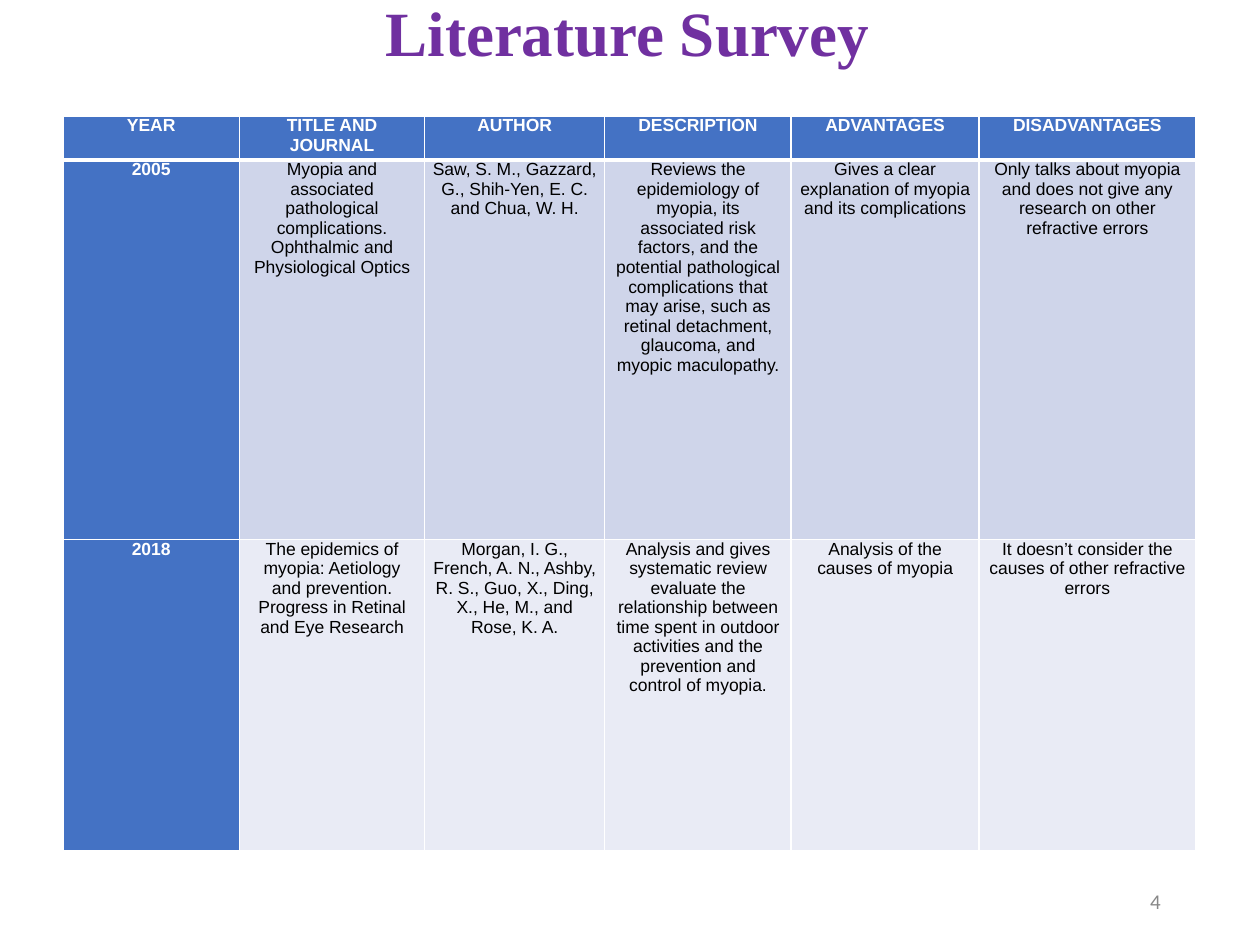
from dataclasses import dataclass

from lxml import etree
from pptx import Presentation
from pptx.dml.color import RGBColor
from pptx.enum.text import MSO_ANCHOR, PP_ALIGN
from pptx.oxml.ns import qn
from pptx.slide import Slide
from pptx.table import _Cell
from pptx.text.text import TextFrame
from pptx.util import Inches, Pt

CENTER, RIGHT = PP_ALIGN.CENTER, PP_ALIGN.RIGHT
TOP, MIDDLE = MSO_ANCHOR.TOP, MSO_ANCHOR.MIDDLE


@dataclass(frozen=True)
class TextStyle:
    font: str
    size: float
    color: str
    bold: bool = False
    alignment: PP_ALIGN = CENTER
    line_spacing: float = 1.0


@dataclass(frozen=True)
class Theme:
    title: TextStyle = TextStyle("Times New Roman", 36, "7030A0", True, line_spacing=0.9)
    page_number: TextStyle = TextStyle("Calibri", 12, "888888", alignment=RIGHT)
    heading: TextStyle = TextStyle("Arial", 10, "FFFFFF", True)
    body: TextStyle = TextStyle("Arial", 10, "000000")
    heading_fill: str = "4472C4"
    band_fills: tuple[str, str] = ("CFD5EA", "E9EBF5")
    border: str = "FFFFFF"
    border_width: float = 1
    heading_rule_width: float = 3


@dataclass(frozen=True)
class Label:
    text: str
    left: float
    top: float
    width: float
    height: float
    style: TextStyle


@dataclass(frozen=True)
class Study:
    year: str
    title: str
    author: str
    description: str
    advantages: str
    disadvantages: str

    def values(self) -> tuple[str, ...]:
        return (self.year, self.title, self.author, self.description,
                self.advantages, self.disadvantages)


THEME = Theme()

LABELS = (
    Label("Literature Survey", 0.67, 0, 8.62, 0.58, THEME.title),
    Label("4", 7.06, 6.95, 2.25, 0.4, THEME.page_number),
)

HEADINGS = ("YEAR", "TITLE AND JOURNAL", "AUTHOR", "DESCRIPTION",
            "ADVANTAGES", "DISADVANTAGES")
STUDIES = (
    Study(
        "2005",
        "Myopia and associated pathological complications. "
        "Ophthalmic and Physiological Optics",
        "Saw, S. M., Gazzard, G., Shih-Yen, E. C. and Chua, W. H.",
        "Reviews the epidemiology of myopia, its associated risk factors, and the "
        "potential pathological complications that may arise, such as retinal "
        "detachment, glaucoma, and myopic maculopathy.",
        "Gives a clear explanation of myopia and its complications",
        "Only talks about myopia and does not give any research on other "
        "refractive errors",
    ),
    Study(
        "2018",
        "The epidemics of myopia: Aetiology and prevention. "
        "Progress in Retinal and Eye Research",
        "Morgan, I. G., French, A. N., Ashby, R. S., Guo, X., Ding, X., He, M., "
        "and Rose, K. A.",
        "Analysis and gives systematic review evaluate the relationship between "
        "time spent in outdoor activities and the prevention and control of myopia.",
        "Analysis of the causes of myopia",
        "It doesn’t consider the causes of other refractive errors",
    ),
)
COLUMN_WIDTHS = (1.4, 1.47, 1.43, 1.48, 1.49, 1.72)
ROW_HEIGHTS = (0.35, 3.01, 2.47)
TABLE_LEFT, TABLE_TOP = 0.5, 0.92


def write_text(text_frame: TextFrame, text: str, style: TextStyle) -> None:
    text_frame.text = text
    text_frame.word_wrap = True
    paragraph = text_frame.paragraphs[0]
    paragraph.alignment = style.alignment
    paragraph.line_spacing = style.line_spacing
    for run in paragraph.runs:
        run.font.name = style.font
        run.font.size = Pt(style.size)
        run.font.bold = style.bold
        run.font.color.rgb = RGBColor.from_string(style.color)


def add_label(slide: Slide, label: Label) -> None:
    shape = slide.shapes.add_textbox(Inches(label.left), Inches(label.top),
                                     Inches(label.width), Inches(label.height))
    shape.text_frame.vertical_anchor = MIDDLE
    write_text(shape.text_frame, label.text, label.style)


def set_borders(cell: _Cell, top: float, bottom: float) -> None:
    properties = cell._tc.get_or_add_tcPr()
    side = THEME.border_width
    for tag, width in (("lnL", side), ("lnR", side), ("lnT", top), ("lnB", bottom)):
        line = etree.SubElement(properties, qn(f"a:{tag}"), w=str(Pt(width)))
        fill = etree.SubElement(line, qn("a:solidFill"))
        etree.SubElement(fill, qn("a:srgbClr"), val=THEME.border)


def format_cell(cell: _Cell, text: str, row: int, column: int) -> None:
    is_heading = row == 0 or column == 0
    write_text(cell.text_frame, text, THEME.heading if is_heading else THEME.body)
    cell.vertical_anchor = TOP
    cell.margin_left = cell.margin_right = Inches(0.06)
    cell.margin_top = cell.margin_bottom = Inches(0)

    # Borders come before the fill in the cell properties
    thin, thick = THEME.border_width, THEME.heading_rule_width
    set_borders(cell, thick if row == 1 else thin, thick if row == 0 else thin)
    color = THEME.heading_fill if is_heading else THEME.band_fills[(row - 1) % 2]
    cell.fill.solid()
    cell.fill.fore_color.rgb = RGBColor.from_string(color)


def add_survey_table(slide: Slide) -> None:
    rows = (HEADINGS, *(study.values() for study in STUDIES))
    table = slide.shapes.add_table(
        len(rows), len(HEADINGS), Inches(TABLE_LEFT), Inches(TABLE_TOP),
        Inches(sum(COLUMN_WIDTHS)), Inches(sum(ROW_HEIGHTS))).table
    table.first_col = True
    for column, width in zip(table.columns, COLUMN_WIDTHS):
        column.width = Inches(width)
    for row, height in zip(table.rows, ROW_HEIGHTS):
        row.height = Inches(height)
    for row_index, values in enumerate(rows):
        for column_index, text in enumerate(values):
            format_cell(table.cell(row_index, column_index), text,
                        row_index, column_index)


def main() -> None:
    presentation = Presentation()
    presentation.slide_width = Inches(10)
    presentation.slide_height = Inches(7.5)
    slide = presentation.slides.add_slide(presentation.slide_layouts[6])

    # Title and page number
    for label in LABELS:
        add_label(slide, label)

    # Survey of published studies
    add_survey_table(slide)

    presentation.save("out.pptx")


if __name__ == "__main__":
    main()
